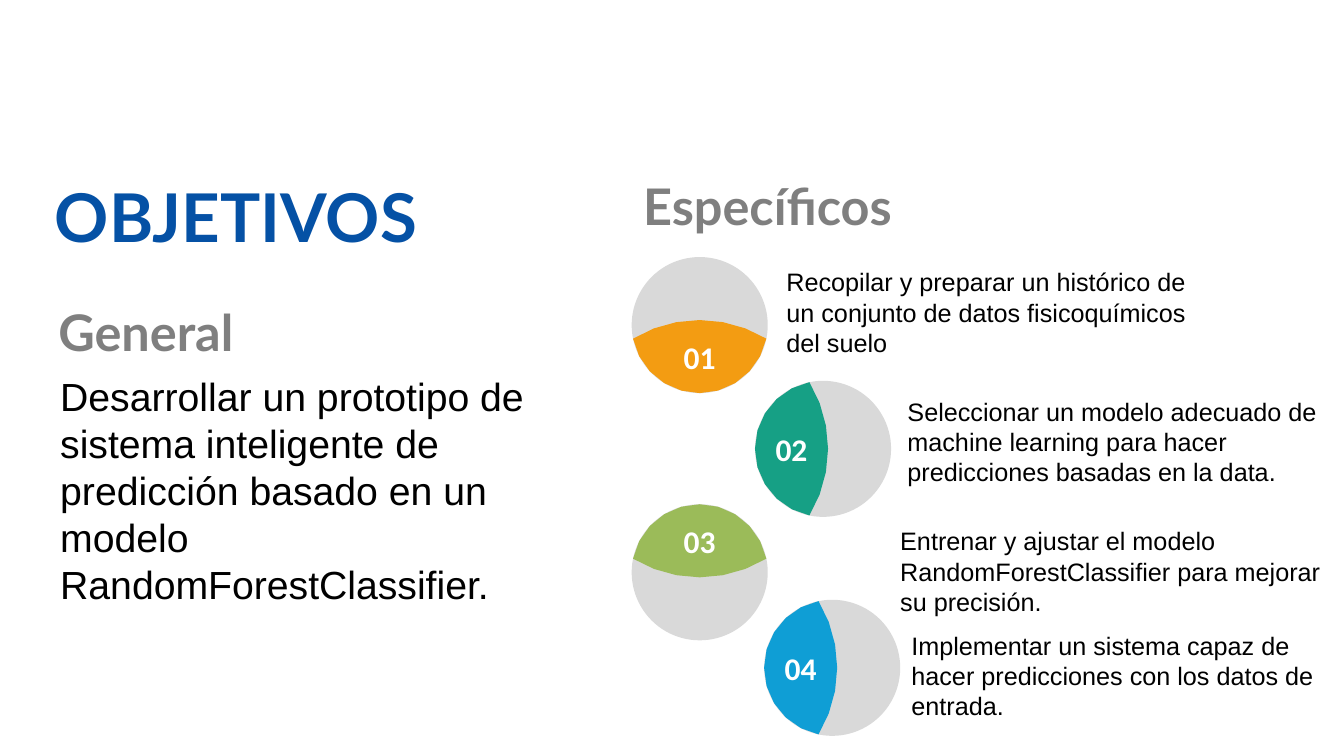
import math

import pptx
import pptx.dml.color
import pptx.enum.shapes
import pptx.enum.text
import pptx.oxml.xmlchemy
import pptx.util

Pt = pptx.util.Pt
RGB = pptx.dml.color.RGBColor
Anchor = pptx.enum.text.MSO_ANCHOR
Align = pptx.enum.text.PP_ALIGN
OVAL = pptx.enum.shapes.MSO_SHAPE.OVAL

BLUE = RGB(0x05, 0x51, 0xA5)
GRAY = RGB(0x7F, 0x7F, 0x7F)
LIGHT = RGB(0xD9, 0xD9, 0xD9)
BLACK = RGB(0, 0, 0)
WHITE = RGB(0xFF, 0xFF, 0xFF)
ORANGE = RGB(0xF3, 0x9C, 0x12)
TEAL = RGB(0x16, 0xA0, 0x85)
GREEN = RGB(0x9B, 0xBB, 0x59)
SKY = RGB(0x0F, 0x9E, 0xD5)

DIAMETER = 97.2
DOWN, LEFT, UP = 90, 180, 270
ITEMS = [
    ("01", ORANGE, DOWN, (451.2, 183.6), (561.7, 186.1),
     "Recopilar y preparar un histórico de un conjunto de datos fisicoquímicos del suelo"),
    ("02", TEAL, LEFT, (539.3, 272), (648.2, 278.6),
     "Seleccionar un modelo adecuado de machine learning para hacer predicciones basadas en la data."),
    ("03", GREEN, UP, (451.2, 360.2), (643, 371.2),
     "Entrenar y ajustar el modelo RandomForestClassifier para mejorar su precisión."),
    ("04", SKY, LEFT, (545.8, 428.4), (651, 445.7),
     "Implementar un sistema capaz de hacer predicciones con los datos de entrada."),
]


def write(tf, text, size, font, color, bold=False, align=Align.LEFT):
    """Write one formatted run into the first paragraph of a text frame."""
    p = tf.paragraphs[0]
    p.alignment = align
    p.space_before = Pt(0)
    r = p.add_run()
    r.text = text
    r.font.size, r.font.name, r.font.bold = Pt(size), font, bold
    r.font.color.rgb = color


def fill_placeholder(sp, box, text, size, font, color, bold=False, align=Align.LEFT):
    """Move a placeholder to the box and write plain text without a bullet."""
    sp.left, sp.top, sp.width, sp.height = (Pt(v) for v in box)
    tf = sp.text_frame
    tf.vertical_anchor = Anchor.TOP
    tf.auto_size = pptx.enum.text.MSO_AUTO_SIZE.NONE
    tf.word_wrap = True
    pPr = tf.paragraphs[0]._p.get_or_add_pPr()
    pPr.set("marL", "0")
    pPr.set("indent", "0")
    pPr.append(pptx.oxml.xmlchemy.OxmlElement("a:buNone"))
    write(tf, text, size, font, color, bold, align)


def paint(sp, color):
    """Give a shape a flat fill without line or shadow."""
    sp.shadow.inherit = False
    sp.fill.solid()
    sp.fill.fore_color.rgb = color
    sp.line.fill.background()


def lens_points(cx, cy, direction):
    """Return the outline of the circle part that faces the direction."""
    radius, apex, corner = DIAMETER / 2, -3.6, 9.7
    half = math.sqrt(radius ** 2 - corner ** 2)
    sagitta = corner - apex
    big = (half ** 2 + sagitta ** 2) / (2 * sagitta)
    outer, inner = math.atan2(half, corner), math.asin(half / big)
    rim = [outer * i / 5 for i in range(-5, 6)]
    edge = [inner * i / 3 for i in range(-2, 3)]
    local = [(radius * math.cos(t), radius * math.sin(t)) for t in rim]
    local += [(apex + big - big * math.cos(t), -big * math.sin(t)) for t in edge]
    a = math.radians(direction)
    return [(cx + u * math.cos(a) - v * math.sin(a),
             cy + u * math.sin(a) + v * math.cos(a)) for u, v in local]


def add_badge(s, left, top, number, color, direction):
    """Draw a gray disc with a numbered coloured lens."""
    disc = s.shapes.add_shape(OVAL, Pt(left), Pt(top), Pt(DIAMETER), Pt(DIAMETER))
    paint(disc, LIGHT)
    points = lens_points(left + DIAMETER / 2, top + DIAMETER / 2, direction)
    points = [(Pt(x), Pt(y)) for x, y in points]
    fb = s.shapes.build_freeform(*points[0])
    fb.add_line_segments(points[1:], close=True)
    lens = fb.convert_to_shape()
    paint(lens, color)
    tf = lens.text_frame
    tf.margin_left = tf.margin_top = tf.margin_right = tf.margin_bottom = Pt(2)
    tf.vertical_anchor = Anchor.MIDDLE
    write(tf, number, 22.5, "Calibri", WHITE, True, Align.CENTER)


def add_goal(s, left, top, text):
    """Add the text of one specific goal, aligned to the bottom of its box."""
    tf = s.shapes.add_textbox(Pt(left), Pt(top), Pt(309), Pt(72.7)).text_frame
    tf.word_wrap = True
    tf.vertical_anchor = Anchor.BOTTOM
    tf.margin_left, tf.margin_right = Pt(0), Pt(4)
    write(tf, text, 18, "Arial", BLACK)


def add_general(s, left, top):
    """Fill the title, the general heading and the general goal."""
    ph = s.placeholders
    fill_placeholder(s.shapes.title, (left, top, 322.6, 65.5),
                     "OBJETIVOS", 48, "Lato", BLUE, True, Align.CENTER)
    fill_placeholder(ph[1], (left + 27.2, top + 89.6, 173.5, 51),
                     "General", 36, "Lato", GRAY, True)
    fill_placeholder(ph[2], (left + 28.6, top + 140.4, 415.4, 177),
                     "Desarrollar un prototipo de sistema inteligente de predicción "
                     "basado en un modelo RandomForestClassifier.", 28, "Arial", BLACK)


def add_specific(s, left, top):
    """Fill the specific heading and place the numbered goals."""
    fill_placeholder(s.placeholders[3], (left, top, 248.4, 51),
                     "Específicos", 36, "Lato", GRAY, True)
    for number, color, direction, badge, goal, text in ITEMS:
        add_badge(s, *badge, number, color, direction)
        add_goal(s, *goal, text)


def main():
    """Build and save the slide."""
    prs = pptx.Presentation()
    prs.slide_width, prs.slide_height = Pt(960), Pt(540)
    s = prs.slides.add_slide(prs.slide_layouts.get_by_name("Comparison"))
    add_general(s, 7.2, 121.7)
    add_specific(s, 452.2, 121.7)
    spare = s.placeholders[4].element
    spare.getparent().remove(spare)
    prs.save("out.pptx")


if __name__ == "__main__":
    main()
